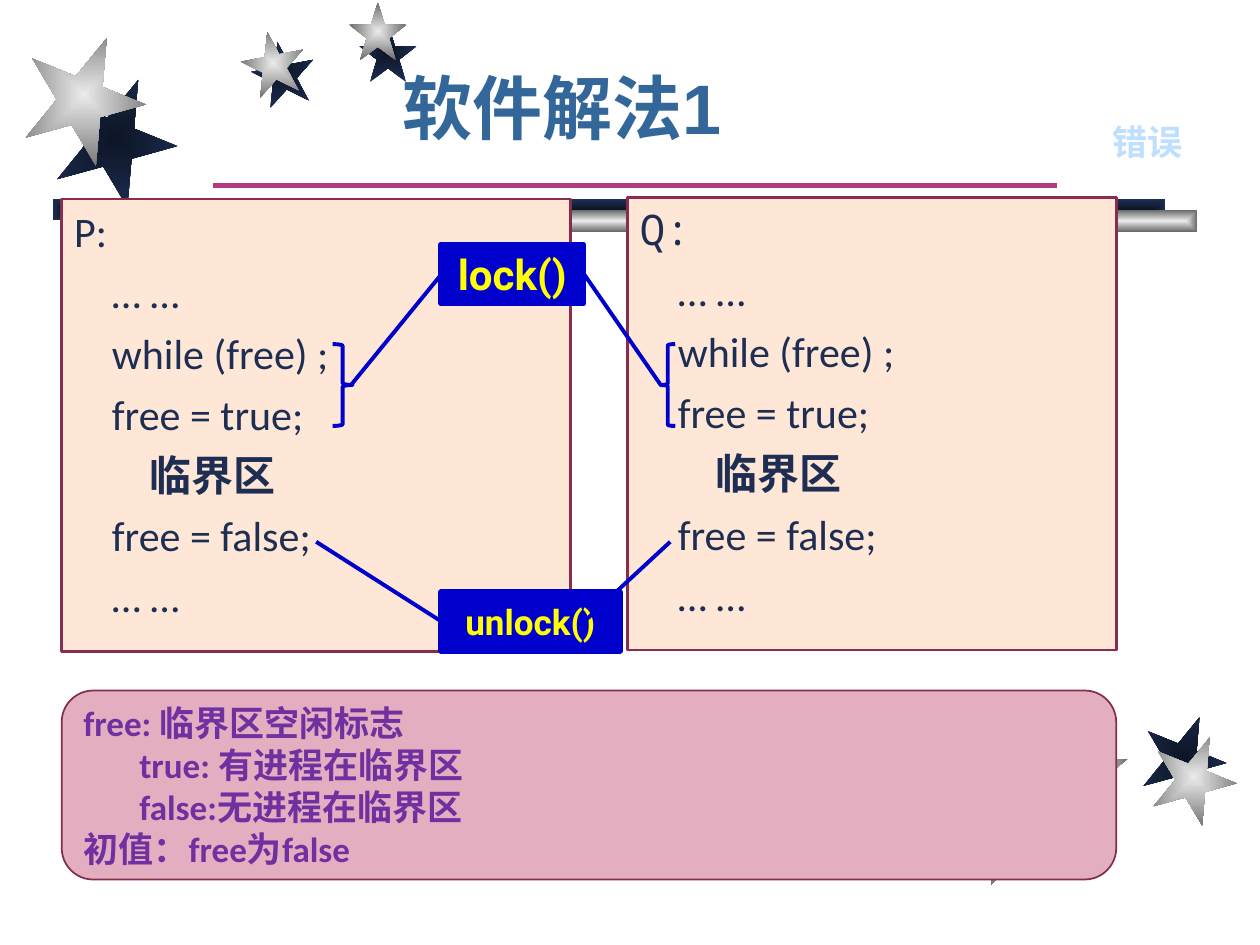
"""Build the slide on the first software solution to mutual exclusion."""
from lxml import etree
from pptx import Presentation
from pptx.dml.color import RGBColor
from pptx.enum.shapes import MSO_CONNECTOR, MSO_SHAPE
from pptx.enum.text import MSO_ANCHOR, PP_ALIGN
from pptx.oxml.ns import qn
from pptx.util import Pt

RECTANGLE, ROUNDED = MSO_SHAPE.RECTANGLE, MSO_SHAPE.ROUNDED_RECTANGLE
STAR, STRAIGHT = MSO_SHAPE.STAR_5_POINT, MSO_CONNECTOR.STRAIGHT
LEFT_BRACE, RIGHT_BRACE = MSO_SHAPE.LEFT_BRACE, MSO_SHAPE.RIGHT_BRACE
TOP, MIDDLE, BOTTOM = MSO_ANCHOR.TOP, MSO_ANCHOR.MIDDLE, MSO_ANCHOR.BOTTOM
LEFT, CENTER = PP_ALIGN.LEFT, PP_ALIGN.CENTER

THEME = {
    "dark": ("0D1526", "1E2E53"),
    "light": ("EAEAEA", "6B6B6B"),
    "rule": "B23A7D",
    "panel": ("FEE7D6", "892D4E", 1.5),
    "note": ("E4AEC1", "862C4C", 1),
    "label": ("0000CC", "0000CC", 3.15),
    "link": ("0000CC", 2.25),
    "title_text": ("Arial", 40, "336699", True),
    "remark_text": ("Arial", 20, "BFDFFF", True),
    "code_text": ("Calibri", 24, "1E2E53", False),
    "mono_text": ("Noto Sans Mono", 24, "1E2E53", False),
    "strong_text": ("Calibri", 24, "1E2E53", True),
    "note_text": ("Calibri", 20, "7030A0", True),
    "lock_text": ("Roboto", 24, "FFFF00", True),
    "unlock_text": ("Roboto", 20, "FFFF00", True),
}
CODE_INDENT, NOTE_INDENT, CODE_GAP = 21.6, 32, 6

STARS = {
    "dark": [(31, 43.2, 69.8, 22), (144, 23.8, 36, 349), (205.2, 13.7, 33.1, 0),
             (605.5, 415.4, 33.1, 0), (652.3, 408.2, 48.2, 22)],
    "light": [(138.2, 18, 36, 349), (199.4, 1.4, 33.1, 0), (555.8, 468, 36, 349),
              (611.3, 421.2, 33.1, 0), (658.1, 419.8, 48.2, 22), (13, 19.4, 69.8, 22)],
}
BARS = {"dark": (30.2, 113.8, 635.8, 12.2), "light": (48.2, 120.2, 635.8, 12.2)}
RULE = (121.7, 105.8, 604.1, 105.8)

TITLE = ("软件解法1", (36, 25.2, 570.2, 63.4))
REMARK = ("错误", (626.4, 65.5, 59, 31.7))
CODE = [("… …", 1, "code_text"), ("while (free) ;", 1, "code_text"),
        ("free = true;", 1, "code_text"), ("临界区", 2, "strong_text"),
        ("free = false;", 1, "code_text"), ("… …", 1, "code_text")]
PROCESSES = [("P:", "code_text", (35.3, 113.8, 290.9, 258.5)),
             ("Q:", "mono_text", (358.6, 113, 279.4, 258.5))]
NOTE_BOX = (35.3, 394.6, 602.6, 108)
NOTE = [("free: 临界区空闲标志", 0), ("true: 有进程在临界区", 1),
        ("false:无进程在临界区", 1), ("初值：free为false", 0)]
LABELS = [
    ("lock()", "lock_text", (252, 139.7, 81.4, 33.8),
     [(252, 157, 200.9, 219.6), (334, 157, 377.3, 219.6)]),
    ("unlock()", "unlock_text", (252, 338.4, 102.2, 33.8),
     [(252, 355, 180.7, 309.6), (334, 355, 383, 309.6)]),
]
BRACES = [(LEFT_BRACE, (377.3, 196.6, 8.6, 46.8)),
          (RIGHT_BRACE, (190.1, 196.6, 11.5, 46.8))]


def set_values(target, values):
    """Set each named attribute of the target."""
    for name, value in values.items():
        setattr(target, name, value)


def set_line(line, color, width):
    """Give a line its colour and width."""
    line.color.rgb = RGBColor.from_string(color)
    line.width = Pt(width)


def add_shape(slide, kind, box):
    """Add a preset shape without a shadow."""
    shape = slide.shapes.add_shape(kind, *map(Pt, box))
    shape.shadow.inherit = False
    return shape


def add_panel(slide, kind, box, style):
    """Add a filled and outlined shape."""
    shape = add_shape(slide, kind, box)
    fill, *outline = THEME[style]
    shape.fill.solid()
    shape.fill.fore_color.rgb = RGBColor.from_string(fill)
    set_line(shape.line, *outline)
    return shape


def add_ornament(slide, kind, box, tone, rotation=0):
    """Add a shape whose gradient spreads from its centre."""
    shape = add_shape(slide, kind, box)
    shape.rotation = rotation
    shape.line.fill.background()
    shape.fill.gradient()
    for stop, color in zip(shape.fill.gradient_stops, THEME[tone]):
        stop.color.rgb = RGBColor.from_string(color)
    gradient = shape._element.spPr.find(qn("a:gradFill"))
    gradient.remove(gradient.find(qn("a:lin")))
    spread = etree.SubElement(gradient, qn("a:path"), {"path": "rect"})
    etree.SubElement(spread, qn("a:fillToRect"), dict.fromkeys("ltrb", "50000"))


def add_line(slide, ends, color, width):
    """Add a straight connector without a shadow."""
    connector = slide.shapes.add_connector(STRAIGHT, *map(Pt, ends))
    set_line(connector.line, color, width)
    etree.SubElement(connector._element.spPr, qn("a:effectLst"))


def write(shape, rows, anchor, alignment, gap=0):
    """Write rows of text, indent and style, one paragraph each."""
    frame = shape.text_frame
    set_values(frame, {"word_wrap": True, "vertical_anchor": anchor})
    for index, (text, indent, style) in enumerate(rows):
        paragraph = frame.add_paragraph() if index else frame.paragraphs[0]
        set_values(paragraph, {"alignment": alignment,
                               "space_before": Pt(gap if index else 0)})
        if indent:
            paragraph._p.get_or_add_pPr().set("marL", str(Pt(indent)))
        run = paragraph.add_run()
        run.text = text
        name, size, color, bold = THEME[style]
        set_values(run.font, {"name": name, "size": Pt(size), "bold": bold})
        run.font.color.rgb = RGBColor.from_string(color)


def main():
    """Compose and save the slide."""
    presentation = Presentation()
    set_values(presentation, {"slide_width": Pt(720), "slide_height": Pt(540)})
    slide = presentation.slides.add_slide(presentation.slide_layouts[5])

    for tone, stars in STARS.items():
        for left, top, size, rotation in stars:
            add_ornament(slide, STAR, (left, top, size, size), tone, rotation)
    for tone, box in BARS.items():
        add_ornament(slide, RECTANGLE, box, tone)
    add_line(slide, RULE, THEME["rule"], 3)

    text, box = TITLE
    title = slide.shapes.title
    set_values(title, dict(zip(("left", "top", "width", "height"), map(Pt, box))))
    write(title, [(text, 0, "title_text")], BOTTOM, CENTER)

    code = [(line, level * CODE_INDENT, style) for line, level, style in CODE]
    for name, style, box in PROCESSES:
        panel = add_panel(slide, RECTANGLE, box, "panel")
        write(panel, [(name, 0, style)] + code, TOP, LEFT, CODE_GAP)

    note = add_panel(slide, ROUNDED, NOTE_BOX, "note")
    write(note, [(line, level * NOTE_INDENT, "note_text") for line, level in NOTE],
          MIDDLE, LEFT)

    for text, style, box, links in LABELS:
        label = add_panel(slide, RECTANGLE, box, "label")
        write(label, [(text, 0, style)], MIDDLE, CENTER)
        for ends in links:
            add_line(slide, ends, *THEME["link"])
    for kind, box in BRACES:
        brace = add_shape(slide, kind, box)
        brace.fill.background()
        set_line(brace.line, *THEME["link"])

    text, box = REMARK
    remark = slide.shapes.add_textbox(*map(Pt, box))
    write(remark, [(text, 0, "remark_text")], TOP, CENTER)
    presentation.save("out.pptx")


if __name__ == "__main__":
    main()
